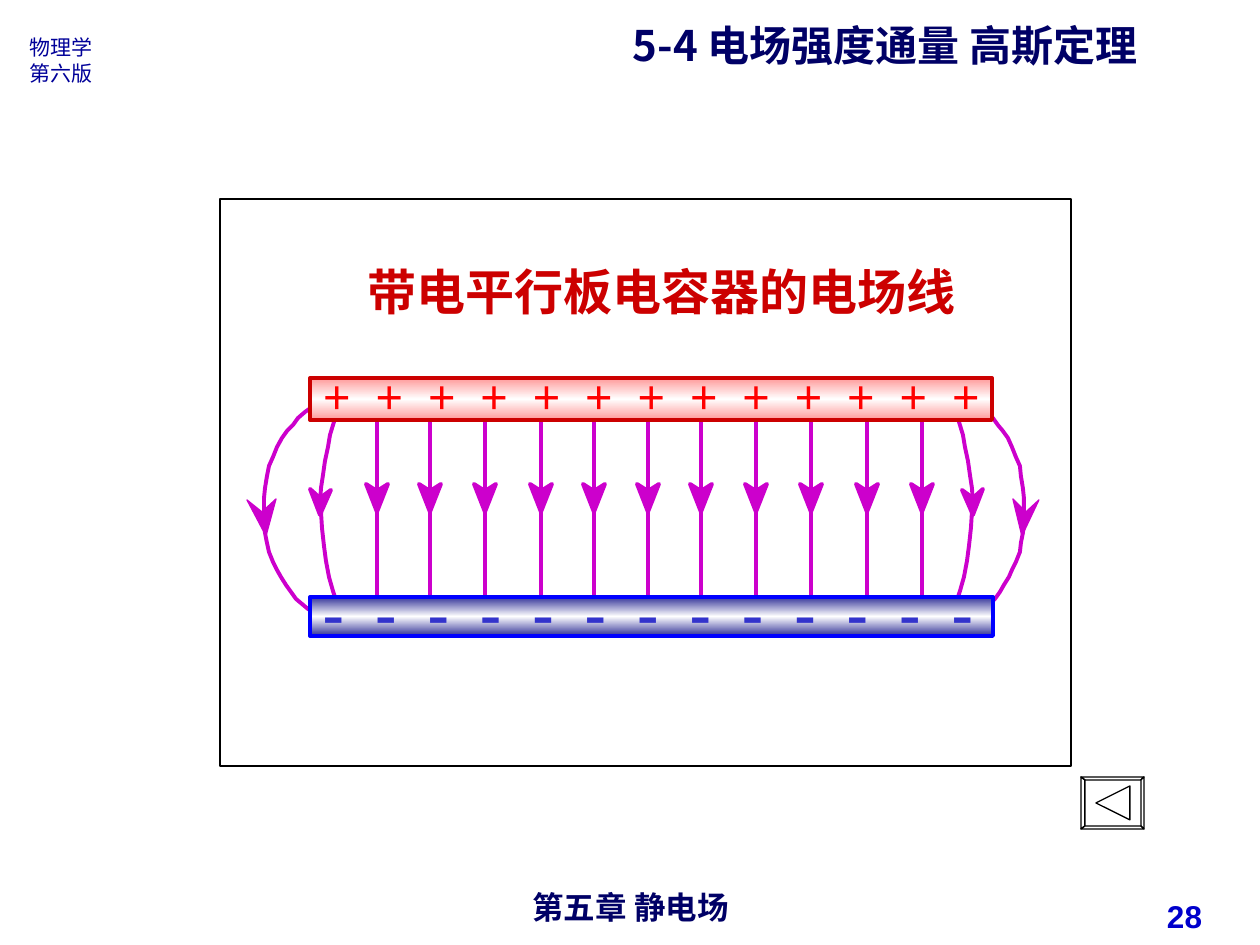
from typing import NamedTuple

import pptx
import pptx.dml.color
import pptx.enum.shapes
import pptx.enum.text
import pptx.util
from lxml import etree
from pptx.oxml.ns import qn

EMU_PER_PX = 914400 // 126
COLORS = {
    "navy": "000066", "edition": "000099", "number": "0000CC", "red": "CC0000",
    "plus": "FF0000", "minus": "3333CC", "field": "CC00CC", "black": "000000",
    "positive": "FF9999", "negative": "333399", "negative_edge": "0000FF",
    "white": "FFFFFF",
}
CJK_FONT = "Noto Sans CJK SC"
ALIGN = pptx.enum.text.PP_ALIGN
ANCHOR = pptx.enum.text.MSO_ANCHOR
RECTANGLE = pptx.enum.shapes.MSO_SHAPE.RECTANGLE
STRAIGHT = pptx.enum.shapes.MSO_CONNECTOR.STRAIGHT

Points = list[tuple[int, int]]


class Box(NamedTuple):
    left: int
    top: int
    width: int
    height: int


class Label(NamedTuple):
    text: str
    box: Box
    size: int
    color: str
    font: str = CJK_FONT
    bold: bool = True
    align: ALIGN = ALIGN.LEFT
    anchor: ANCHOR = ANCHOR.TOP
    inset: tuple[int, int] = (13, 6)
    tab_pitch: float = 0


class Plate(NamedTuple):
    box: Box
    shade: str
    edge: str
    charges: Label


class Side(NamedTuple):
    """Where the bulging lines stand on one side, and which way they curve."""
    outer_x: int
    inner_x: int
    direction: int
    outer_stretch: float


CHARGE_COUNT = 13
CHARGE_PITCH = 52.4


def charge_row(sign: str, box: Box, size: int, color: str) -> Label:
    return Label("\t".join([sign] * CHARGE_COUNT), box, size, color,
                 "Times New Roman", tab_pitch=CHARGE_PITCH)


TITLE = Label("5-4 电场强度通量 高斯定理", Box(620, 13, 581, 134), 24, "navy")
LABELS = [
    Label("物理学\n第六版", Box(17, 29, 91, 63), 12, "edition", bold=False),
    Label("第五章 静电场", Box(431, 882, 399, 37), 18, "navy", "Arial", align=ALIGN.CENTER),
    Label("28", Box(921, 887, 294, 57), 18, "number", "Arial",
          align=ALIGN.RIGHT, anchor=ANCHOR.MIDDLE),
    Label("带电平行板电容器的电场线", Box(368, 262, 672, 59), 28, "red", inset=(0, 0)),
]
PLATES = [
    Plate(Box(310, 378, 682, 42), "positive", "red",
          charge_row("+", Box(310, 359, 703, 72), 28, "plus")),
    Plate(Box(310, 597, 683, 39), "negative", "negative_edge",
          charge_row("-", Box(310, 567, 703, 88), 36, "minus")),
]
FRAME = Box(220, 199, 851, 567)
SIDES = [Side(264, 320, 1, 1), Side(1024, 973, -1, 0.9)]
STRAIGHT_LINES = [377, 430, 485, 541, 594, 648, 701, 756, 811, 867, 922]

# Curves and arrowheads: x is the offset from the field line, y is on the slide.
STRAIGHT_HEAD = [(-11, 484), (0, 512), (11, 484), (0, 491)]
INNER_HEAD = [(11, 490), (0, 515), (-10, 489), (0, 498)]
OUTER_HEAD = [(12, 499), (2, 536), (-17, 500), (-2, 512)]
INNER_CURVE = [
    (21, 399), (18, 411), (14, 422), (10, 435), (8, 447), (5, 461), (3, 475), (1, 488),
    (0, 503), (1, 512), (2, 528), (4, 546), (6, 561), (9, 577), (13, 591), (18, 606), (22, 619),
]
OUTER_CURVE = [
    (80, 399), (68, 400), (59, 402), (48, 407), (41, 412), (34, 418), (29, 425), (23, 431),
    (18, 438), (13, 447), (9, 457), (5, 466), (3, 476), (1, 488), (0, 498), (0, 513),
    (0, 523), (1, 533), (3, 543), (5, 552), (9, 562), (13, 570), (17, 577), (22, 585),
    (27, 592), (32, 599), (38, 604), (44, 609), (51, 612), (58, 615), (64, 617), (82, 620),
]


def px(value: float) -> int:
    return round(value * EMU_PER_PX)


def rgb(name: str) -> pptx.dml.color.RGBColor:
    return pptx.dml.color.RGBColor.from_string(COLORS[name])


def write_label(shape, label: Label) -> None:
    for name, value in zip(Box._fields, label.box):
        setattr(shape, name, px(value))
    frame = shape.text_frame
    across, down = map(px, label.inset)
    settings = {
        "margin_left": across, "margin_right": across, "margin_top": down,
        "margin_bottom": down, "word_wrap": True, "vertical_anchor": label.anchor,
        "auto_size": pptx.enum.text.MSO_AUTO_SIZE.NONE, "text": label.text,
    }
    for name, value in settings.items():
        setattr(frame, name, value)
    for paragraph in frame.paragraphs:
        paragraph.alignment = label.align
        if label.tab_pitch:
            properties = paragraph._p.get_or_add_pPr()
            tabs = etree.SubElement(properties, qn("a:tabLst"))
            for index in range(1, CHARGE_COUNT):
                etree.SubElement(tabs, qn("a:tab"), pos=str(px(index * label.tab_pitch)), algn="l")
        for run in paragraph.runs:
            font = run.font
            for name, value in {"size": pptx.util.Pt(label.size), "bold": label.bold,
                                "name": label.font}.items():
                setattr(font, name, value)
            font.color.rgb = rgb(label.color)
            etree.SubElement(run._r.get_or_add_rPr(), qn("a:ea"), typeface=CJK_FONT)


def add_label(slide, label: Label) -> None:
    write_label(slide.shapes.add_textbox(*map(px, label.box)), label)


def style_outline(shape, color: str, weight: float, filled: bool = False) -> None:
    shape.shadow.inherit = False
    shape.line.color.rgb = rgb(color)
    shape.line.width = pptx.util.Pt(weight)
    if filled:
        shape.fill.solid()
        shape.fill.fore_color.rgb = rgb(color)
    else:
        shape.fill.background()


def add_outline(slide, contours: list[Points], color: str, weight: float,
                closed: bool = True, filled: bool = False) -> None:
    builder = slide.shapes.build_freeform(*contours[0][0], scale=EMU_PER_PX)
    for index, points in enumerate(contours):
        if index:
            builder.move_to(*points[0])
        builder.add_line_segments(points[1:], close=closed)
    style_outline(builder.convert_to_shape(), color, weight, filled)


def place(points: Points, x: int, direction: int = 1, stretch: float = 1) -> Points:
    return [(round(x + direction * stretch * offset), y) for offset, y in points]


def add_straight_field_line(slide, x: int) -> None:
    connector = slide.shapes.add_connector(STRAIGHT, px(x), px(416), px(x), px(626))
    connector.line.color.rgb = rgb("field")
    connector.line.width = pptx.util.Pt(2.25)
    etree.SubElement(connector.element.spPr, qn("a:effectLst"))
    add_outline(slide, [place(STRAIGHT_HEAD, x)], "field", 2.25, filled=True)


def add_side_field_lines(slide, side: Side) -> None:
    for curve, head, x, stretch, head_weight in (
        (INNER_CURVE, INNER_HEAD, side.inner_x, 1, 2.25),
        (OUTER_CURVE, OUTER_HEAD, side.outer_x, side.outer_stretch, 0.75),
    ):
        add_outline(slide, [place(curve, x, side.direction, stretch)], "field", 2.25, closed=False)
        add_outline(slide, [place(head, x, side.direction, stretch)], "field", head_weight,
                    filled=True)


def add_plate(slide, plate: Plate) -> None:
    shape = slide.shapes.add_shape(RECTANGLE, *map(px, plate.box))
    style_outline(shape, plate.edge, 2.25)
    shape.fill.gradient()
    shape.fill.gradient_angle = 90
    stops = shape.element.spPr.find(".//" + qn("a:gsLst"))
    for stop in list(stops):
        stops.remove(stop)
    for position, color in ((0, plate.shade), (50000, "white"), (100000, plate.shade)):
        stop = etree.SubElement(stops, qn("a:gs"), pos=str(position))
        etree.SubElement(stop, qn("a:srgbClr"), val=COLORS[color])
    add_label(slide, plate.charges)


def add_back_button(slide) -> None:
    outer = [(1081, 777), (1144, 777), (1144, 829), (1081, 829)]
    inner = [(1085, 780), (1141, 780), (1141, 826), (1085, 826)]
    bevels = [[outer[i], outer[(i + 1) % 4], inner[(i + 1) % 4], inner[i]] for i in range(4)]
    arrow = [(1096, 803), (1130, 786), (1130, 820)]
    add_outline(slide, [*bevels, arrow], "black", 0.75)


def main() -> None:
    presentation = pptx.Presentation()
    presentation.slide_width = pptx.util.Inches(10)
    presentation.slide_height = pptx.util.Inches(7.5)
    slide = presentation.slides.add_slide(presentation.slide_layouts[5])
    write_label(slide.shapes.title, TITLE)
    for x in STRAIGHT_LINES:
        add_straight_field_line(slide, x)
    for side in SIDES:
        add_side_field_lines(slide, side)
    for plate in PLATES:
        add_plate(slide, plate)
    for label in LABELS:
        add_label(slide, label)
    style_outline(slide.shapes.add_shape(RECTANGLE, *map(px, FRAME)), "black", 0.75)
    add_back_button(slide)
    presentation.save("out.pptx")


if __name__ == "__main__":
    main()
